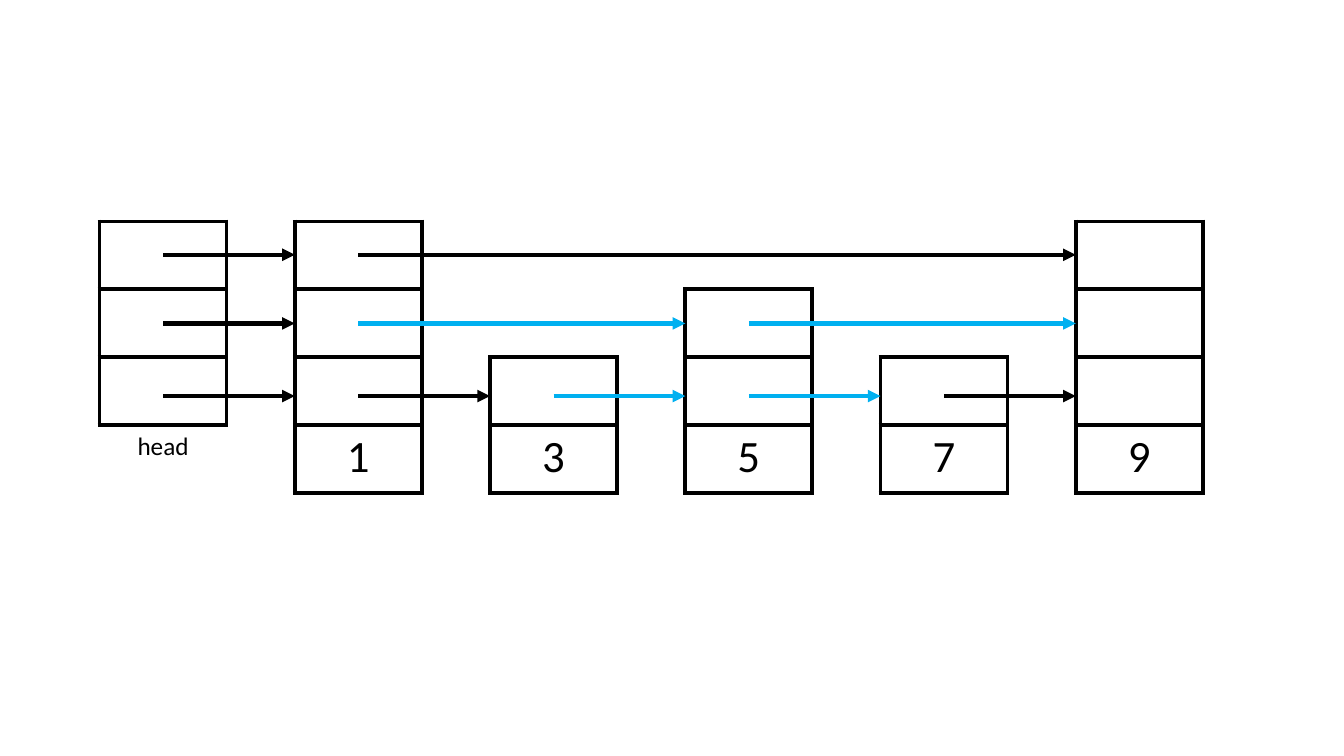
from lxml.etree import SubElement
from pptx import Presentation
from pptx.dml.color import RGBColor
from pptx.enum.shapes import MSO_CONNECTOR
from pptx.enum.text import PP_ALIGN
from pptx.oxml import parse_xml
from pptx.oxml.ns import nsdecls, qn
from pptx.util import Cm, Pt

BLACK, WHITE, BLUE = "000000", "FFFFFF", "00B0F0"
LEFT, TOP = 2.51, 5.58
NODE_WIDTH, NODE_PITCH, ROW_HEIGHT = 3.2, 4.92, 1.71
LEVEL_Y = {3: 6.42, 2: 8.15, 1: 9.98}
NODES = [("", 3), ("1", 3), ("3", 1), ("5", 2), ("7", 1), ("9", 3)]
LINKS = [
    (3, 0, 1, BLACK), (3, 1, 5, BLACK),
    (2, 0, 1, BLACK), (2, 1, 3, BLUE), (2, 3, 5, BLUE),
    (1, 0, 1, BLACK), (1, 1, 2, BLACK), (1, 2, 3, BLUE),
    (1, 3, 4, BLUE), (1, 4, 5, BLACK),
]


def rgb(color):
    """Return the colour for a hex string."""
    return RGBColor.from_string(color)


def node_left(column):
    """Return the left edge of a node in centimetres."""
    return LEFT + column * NODE_PITCH


def write_centred(paragraph, text, size):
    """Write one centred line of black text."""
    paragraph.text = text
    paragraph.alignment = PP_ALIGN.CENTER
    paragraph.font.name = "Calibri"
    paragraph.font.size = Pt(size)
    paragraph.font.color.rgb = rgb(BLACK)


def add_borders(cell):
    """Put a black border on each side of a cell."""
    properties = cell._tc.get_or_add_tcPr()
    for position, side in enumerate(("lnL", "lnR", "lnT", "lnB")):
        border = parse_xml(
            f'<a:{side} {nsdecls("a")} w="{Pt(3)}"><a:solidFill>'
            f'<a:srgbClr val="{BLACK}"/></a:solidFill></a:{side}>'
        )
        properties.insert(position, border)


def add_node(slide, column, value, levels):
    """Add a node with one cell per level and one for its value."""
    rows = levels + bool(value)
    top = TOP + (3 - levels) * ROW_HEIGHT
    table = slide.shapes.add_table(
        rows, 1, Cm(node_left(column)), Cm(top),
        Cm(NODE_WIDTH), Cm(rows * ROW_HEIGHT),
    ).table
    table.first_row = False
    table.horz_banding = False
    for row in table.rows:
        row.height = Cm(ROW_HEIGHT)
    for cell in table.iter_cells():
        cell.fill.solid()
        cell.fill.fore_color.rgb = rgb(WHITE)
        add_borders(cell)
    if value:
        write_centred(table.cell(levels, 0).text_frame.paragraphs[0], value, 32)


def add_label(slide, column, text):
    """Add a caption below the three levels of a node."""
    box = slide.shapes.add_textbox(
        Cm(node_left(column)), Cm(TOP + 3 * ROW_HEIGHT), Cm(NODE_WIDTH), Cm(1.03)
    )
    box.text_frame.word_wrap = True
    write_centred(box.text_frame.paragraphs[0], text, 18)


def add_link(slide, level, source, target, color):
    """Add an arrow from the middle of one node to the edge of another."""
    y = Cm(LEVEL_Y[level])
    connector = slide.shapes.add_connector(
        MSO_CONNECTOR.STRAIGHT,
        Cm(node_left(source) + NODE_WIDTH / 2), y, Cm(node_left(target)), y,
    )
    connector.line.color.rgb = rgb(color)
    connector.line.width = Pt(3)
    SubElement(connector.line._get_or_add_ln(), qn("a:tailEnd"), type="triangle")
    SubElement(connector._element.spPr, qn("a:effectLst"))


def main():
    """Build the skip list slide."""
    presentation = Presentation()
    presentation.slide_width = Cm(33.87)
    presentation.slide_height = Cm(19.05)
    slide = presentation.slides.add_slide(presentation.slide_layouts[6])
    for column, (value, levels) in enumerate(NODES):
        add_node(slide, column, value, levels)
    add_label(slide, 0, "head")
    for link in LINKS:
        add_link(slide, *link)
    presentation.save("out.pptx")


if __name__ == "__main__":
    main()
